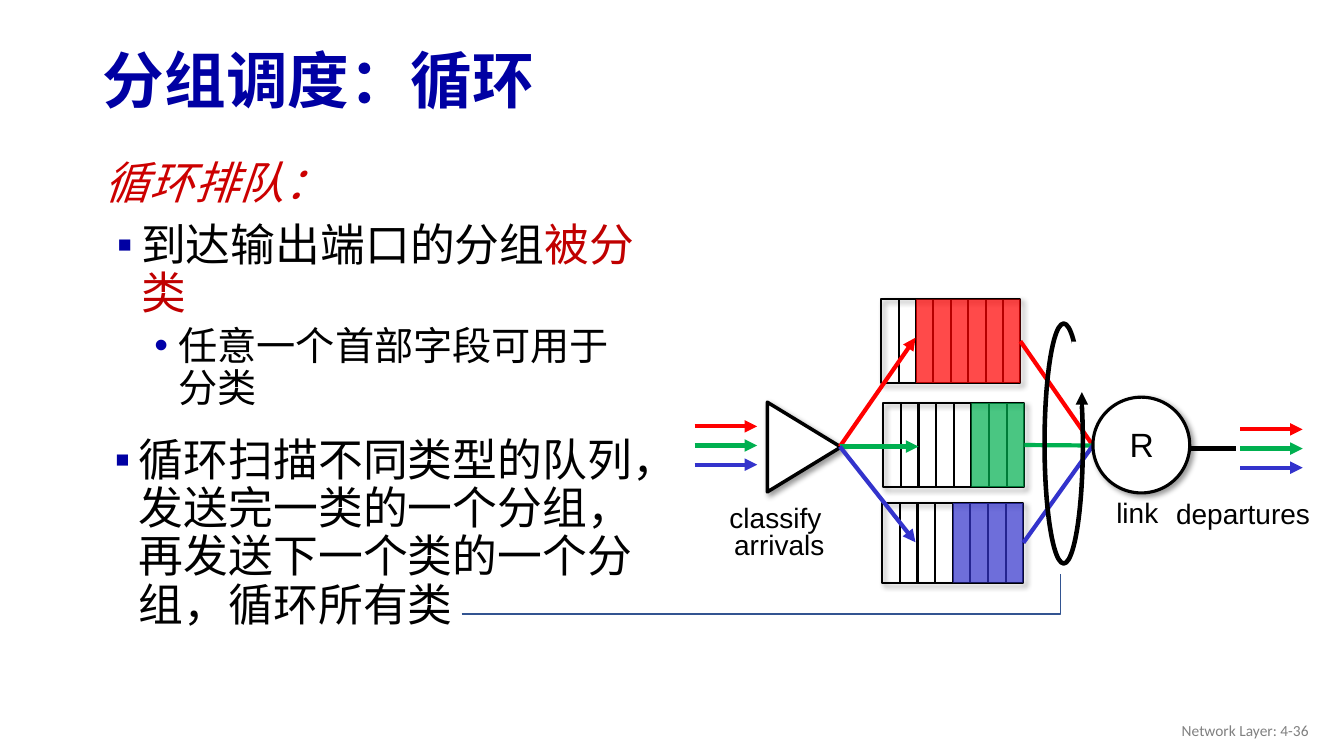
from lxml import etree
from pptx import Presentation
from pptx import util as u
from pptx.dml.color import RGBColor
from pptx.enum import shapes, text
from pptx.oxml.ns import qn

BLACK, WHITE, NAVY = "000000", "FFFFFF", "0000A3"
RED, GREEN, BLUE = "FF0000", "00B050", "3333CC"
SHAPE = shapes.MSO_SHAPE
ALIGN = text.PP_ALIGN


def color(value):
    return RGBColor.from_string(value)


def add_element(parent, tag, **attributes):
    return etree.SubElement(parent, qn(tag), attributes)


class SlideBuilder:
    font_name = "Arial"

    def __init__(self, slide):
        self.slide = slide

    def paragraph(self, frame, runs, size, align=ALIGN.LEFT, spacing=0.9, before=0,
                  bullet=None, indent=None, level=0, **style):
        """Fill the first empty paragraph or add one; runs are (text, color) pairs."""
        paragraph = frame.paragraphs[0]
        if paragraph.runs:
            paragraph = frame.add_paragraph()
        properties = paragraph._p.get_or_add_pPr()
        left, first = indent or (0, 0)
        properties.set("marL", str(u.Inches(left)))
        properties.set("indent", str(u.Inches(first)))
        if bullet:
            character, bullet_color = bullet
            fill = add_element(properties, "a:buClr")
            add_element(fill, "a:srgbClr", val=bullet_color)
            add_element(properties, "a:buFont", typeface=self.font_name)
            add_element(properties, "a:buChar", char=character)
        else:
            add_element(properties, "a:buNone")
        paragraph.level = level
        paragraph.alignment = align
        paragraph.line_spacing = spacing
        paragraph.space_before = u.Pt(before)
        for words, run_color in runs:
            run = paragraph.add_run()
            run.text = words
            font = run.font
            font.name = style.get("font", self.font_name)
            font.size = u.Pt(size)
            font.bold = style.get("bold", False)
            font.italic = style.get("italic", False)
            font.color.rgb = color(run_color)

    def placeholder(self, index, left, top, width, height, anchor):
        shape = self.slide.placeholders[index]
        shape.left, shape.top = u.Inches(left), u.Inches(top)
        shape.width, shape.height = u.Inches(width), u.Inches(height)
        return self.frame(shape, anchor)

    def text_box(self, left, top, width, height, anchor=text.MSO_ANCHOR.TOP, wrap=True):
        shape = self.slide.shapes.add_textbox(*map(u.Inches, (left, top, width, height)))
        return self.frame(shape, anchor, wrap)

    def frame(self, shape, anchor, wrap=True):
        frame = shape.text_frame
        frame.word_wrap = wrap
        frame.auto_size = text.MSO_AUTO_SIZE.NONE
        frame.vertical_anchor = anchor
        return frame

    def label(self, left, top, width, height, lines, size=20):
        frame = self.text_box(left, top, width, height, wrap=False)
        for line in lines:
            self.paragraph(frame, [(line, BLACK)], size, ALIGN.CENTER, 0.8)

    def style(self, shape, fill=None, line=None, shadow=False, alpha=None):
        shape.shadow.inherit = False
        if fill:
            shape.fill.solid()
            shape.fill.fore_color.rgb = color(fill)
        else:
            shape.fill.background()
        if alpha:
            swatch = shape._element.spPr.find(qn("a:solidFill"))[0]
            add_element(swatch, "a:alpha", val=str(alpha * 1000))
        if line:
            line_color, width = line
            shape.line.color.rgb = color(line_color)
            shape.line.width = u.Pt(width)
        else:
            shape.line.fill.background()
        if shadow:
            effects = shape._element.spPr.find(qn("a:effectLst"))
            outer = add_element(effects, "a:outerShdw", blurRad=str(u.Pt(4)),
                                dist=str(u.Pt(3)), dir="2700000", rotWithShape="0")
            shade = add_element(outer, "a:srgbClr", val=BLACK)
            add_element(shade, "a:alpha", val="40000")

    def shape(self, kind, left, top, width, height, **style):
        shape = self.slide.shapes.add_shape(kind, *map(u.Inches, (left, top, width, height)))
        self.style(shape, **style)
        return shape

    def line(self, start, end, line_color=BLACK, width=3, arrow=False, source=None):
        connector = self.slide.shapes.add_connector(
            shapes.MSO_CONNECTOR.STRAIGHT, *map(u.Inches, (*start, *end)))
        connector.line.color.rgb = color(line_color)
        connector.line.width = u.Pt(width)
        if arrow:
            add_element(connector.line._get_or_add_ln(), "a:tailEnd", type="triangle")
        add_element(connector._element.spPr, "a:effectLst")
        if source is not None:
            connector.begin_connect(source, 3)

    def polyline(self, points, line):
        first, *rest = [tuple(map(u.Inches, point)) for point in points]
        builder = self.slide.shapes.build_freeform(*first)
        builder.add_line_segments(rest, close=False)
        self.style(builder.convert_to_shape(), line=line)

    def queue(self, left, top, width, height, fill, empty, slots=8):
        """Draw a packet buffer whose first slots are empty."""
        box = self.shape(SHAPE.RECTANGLE, left, top, width, height,
                         line=(BLACK, 1.5), shadow=True)
        step = width / slots
        for number in range(1, slots):
            x = left + number * step
            self.line((x, top), (x, top + height), width=1.5)
        self.shape(SHAPE.RECTANGLE, left + empty * step, top, width - empty * step, height,
                   fill=fill, alpha=71)
        return box

    def flow(self, left, top):
        """Draw one arrow per traffic class."""
        for number, flow_color in enumerate((RED, GREEN, BLUE)):
            y = top + number * 0.19
            self.line((left, y), (left + 0.62, y), flow_color, arrow=True)


def main():
    presentation = Presentation()
    presentation.slide_width, presentation.slide_height = u.Inches(13.33), u.Inches(7.5)
    builder = SlideBuilder(presentation.slides.add_slide(presentation.slide_layouts[1]))
    middle, top = text.MSO_ANCHOR.MIDDLE, text.MSO_ANCHOR.TOP

    # Title and list
    title = builder.placeholder(0, 0.92, 0.34, 11.5, 0.98, middle)
    builder.paragraph(title, [("分组调度：循环", NAVY)], 44, bold=True)
    body = builder.placeholder(1, 0.79, 1.54, 5.64, 2.75, top)
    square = dict(bullet=("▪", NAVY), indent=(0.51, -0.24))
    builder.paragraph(body, [("循环排队：", "CC0000")], 32, indent=(0.39, -0.24), italic=True)
    builder.paragraph(body, [("到达输出端口的分组", BLACK), ("被分类", "C00000")], 32,
                      before=10, **square)
    builder.paragraph(body, [("任意一个首部字段可用于分类", BLACK)], 28, before=5,
                      bullet=("•", "0000A8"), indent=(0.88, -0.24), level=1)

    # Queues, one per class
    queues = [
        builder.queue(8.74, 2.97, 1.38, 0.83, RED, empty=2),
        builder.queue(8.76, 4, 1.4, 0.83, GREEN, empty=5),
        builder.queue(8.75, 4.99, 1.4, 0.79, BLUE, empty=4),
    ]

    # Classifier with arriving and departing flows
    classifier = builder.shape(SHAPE.ISOSCELES_TRIANGLE, 7.53, 4.07, 0.89, 0.73,
                               fill=WHITE, line=(BLACK, 2.5), shadow=True)
    classifier.rotation = 90
    builder.flow(6.89, 4.23)
    builder.line((11.76, 4.45), (12.26, 4.45))
    builder.flow(12.3, 4.26)
    builder.label(7.13, 4.98, 1.2, 0.64, ["classify ", "arrivals"])
    builder.label(11.56, 4.94, 1.54, 0.37, ["departures"])

    # Paths into and out of the queues
    targets = [(9.08, 3.35), (9.11, 4.43), (9.08, 5.38)]
    for queue, target, path_color in zip(queues, targets, (RED, GREEN, BLUE)):
        builder.line((8.33, 4.43), target, path_color, arrow=True)
        builder.line((10.15, target[1]), (10.84, 4.42), path_color, source=queue)

    # Link
    builder.shape(SHAPE.OVAL, 10.84, 3.94, 0.96, 0.95,
                  fill=WHITE, line=(BLACK, 2.25), shadow=True)
    builder.label(10.97, 4.93, 0.62, 0.37, ["link"])
    builder.label(11.1, 4.23, 0.45, 0.42, ["R"], 24)

    # Round robin loop, opened at the upper right
    builder.shape(SHAPE.OVAL, 10.36, 3.21, 0.38, 2.38, line=(BLACK, 3.25))
    builder.shape(SHAPE.RECTANGLE, 10.63, 3.39, 0.21, 0.64, fill=WHITE)
    builder.line((10.73, 4.18), (10.73, 3.89), arrow=True)

    # Explanation of the loop
    note = builder.text_box(0.77, 4.29, 5.64, 2.57)
    builder.paragraph(
        note, [("循环扫描不同类型的队列，发送完一类的一个分组，再发送下一个类的一个分组，循环所有类", BLACK)],
        32, **square)
    builder.polyline([(4.58, 6.09), (10.52, 6.09), (10.52, 5.69)], ("325491", 1))

    # Footer
    footer = builder.text_box(10.08, 7.05, 3, 0.4, middle)
    builder.paragraph(footer, [("Network Layer: 4-36", "808080")], 11, ALIGN.RIGHT, 1.0,
                      font="Calibri")
    presentation.save("out.pptx")


if __name__ == "__main__":
    main()
